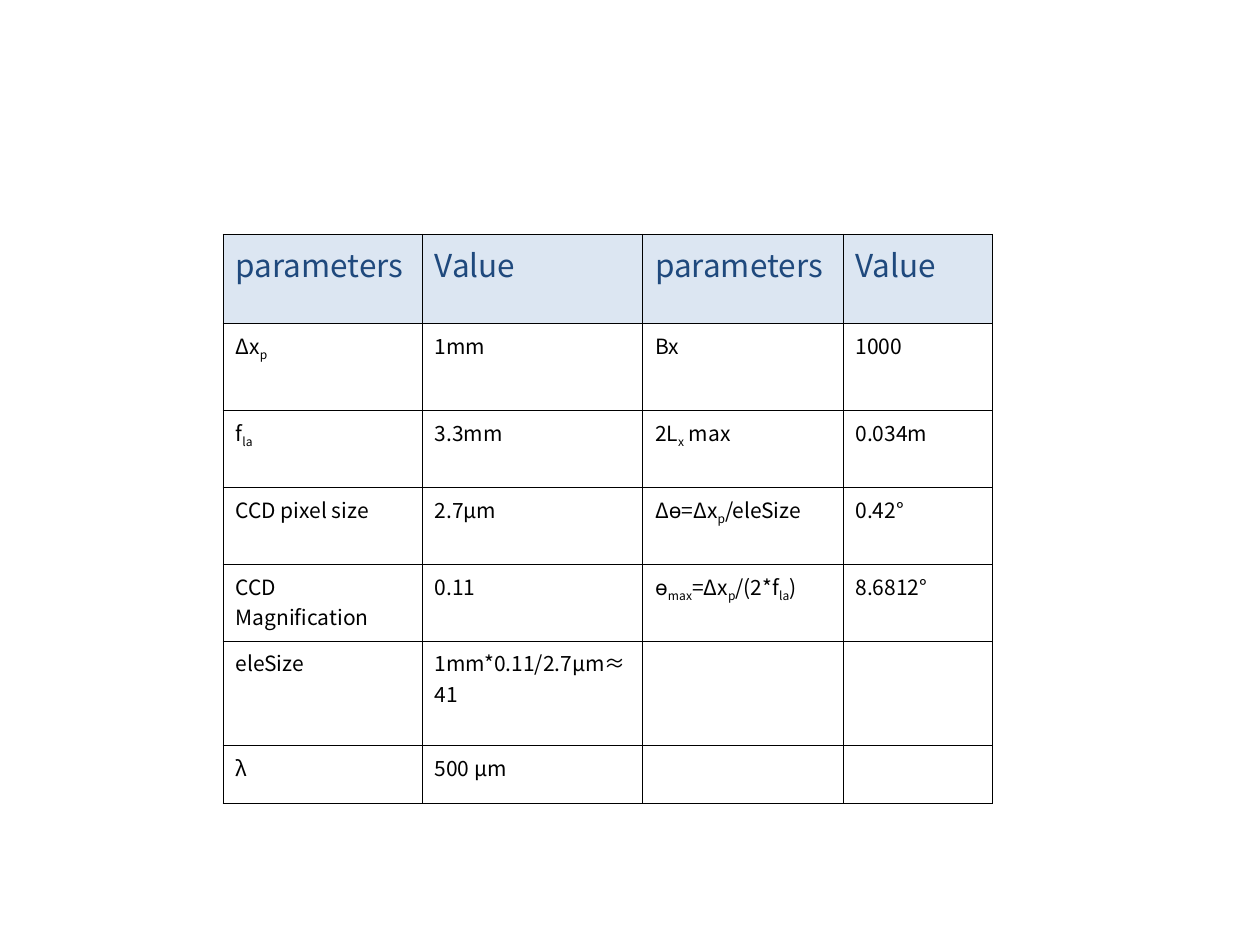
import pptx
import pptx.util
import pptx.dml.color
import pptx.oxml
import pptx.oxml.ns

COLORS = {"header": "DCE6F2", "heading": "1F497D", "body": "FFFFFF", "ink": "000000"}
FONT = "Noto Sans CJK KR"
COLUMN_WIDTHS = [1.58, 1.75, 1.59, 1.19]
ROW_HEIGHTS = [0.71, 0.69, 0.61, 0.61, 0.61, 0.83, 0.46]

# Text between a pair of bars is set as a subscript
ROWS = [
    ["parameters", "Value", "parameters", "Value"],
    ["Δx|p|", "1mm", "Bx", "1000"],
    ["f|la|", "3.3mm", "2L|x| max", "0.034m"],
    ["CCD pixel size", "2.7μm", "Δө=Δx|p|/eleSize", "0.42°"],
    ["CCD Magnification", "0.11", "ө|max|=Δx|p|/(2*f|la|)", "8.6812°"],
    ["eleSize", "1mm*0.11/2.7μm≈41", "", ""],
    ["λ", "500 μm", "", ""],
]


def rgb(name):
    return pptx.dml.color.RGBColor.from_string(COLORS[name])


def write_text(frame, text, *, size, color):
    """Write one paragraph, lowering every second piece as a subscript."""
    para = frame.paragraphs[0]
    para.font.size = pptx.util.Pt(size)
    for index, piece in enumerate(text.split("|")):
        if not piece:
            continue
        span = para.add_run()
        span.text = piece
        span.font.name = FONT
        span.font.size = pptx.util.Pt(size)
        span.font.color.rgb = rgb(color)
        properties = span.font._element
        east_asian = pptx.oxml.parse_xml(
            f'<a:ea {pptx.oxml.ns.nsdecls("a")} typeface="{FONT}"/>')
        properties.find(pptx.oxml.ns.qn("a:latin")).addnext(east_asian)
        if index % 2:
            properties.set("baseline", "-25000")


def draw_borders(cell, *, color, width):
    """Rule all four sides; borders come before the fill in the cell's XML."""
    properties = cell._tc.get_or_add_tcPr()
    for position, side in enumerate(("lnL", "lnR", "lnT", "lnB")):
        line = pptx.oxml.parse_xml(
            f'<a:{side} {pptx.oxml.ns.nsdecls("a")} w="{int(pptx.util.Pt(width))}">'
            f'<a:solidFill><a:srgbClr val="{COLORS[color]}"/></a:solidFill></a:{side}>')
        properties.insert(position, line)


def add_parameter_table(page, left, top, width, height):
    """Fill the given box with the table of optical parameters."""
    box = page.shapes.add_table(len(ROWS), len(COLUMN_WIDTHS), left, top, width, height)
    table = box.table

    # Share the box out among columns and rows
    for column, share in zip(table.columns, COLUMN_WIDTHS):
        column.width = int(width * share / sum(COLUMN_WIDTHS))
    for row, share in zip(table.rows, ROW_HEIGHTS):
        row.height = int(height * share / sum(ROW_HEIGHTS))

    # Cells
    for row_index, texts in enumerate(ROWS):
        is_header = row_index == 0
        for column_index, text in enumerate(texts):
            cell = table.cell(row_index, column_index)
            cell.fill.solid()
            cell.fill.fore_color.rgb = rgb("header" if is_header else "body")
            draw_borders(cell, color="ink", width=0.45)
            write_text(cell.text_frame, text, size=18 if is_header else 12,
                       color="heading" if is_header else "ink")


def main():
    deck = pptx.Presentation()
    deck.slide_width = pptx.util.Inches(10)
    deck.slide_height = pptx.util.Inches(7.5)
    page = deck.slides.add_slide(deck.slide_layouts[6])
    add_parameter_table(page, pptx.util.Inches(1.77), pptx.util.Inches(1.86),
                        pptx.util.Inches(sum(COLUMN_WIDTHS)),
                        pptx.util.Inches(sum(ROW_HEIGHTS)))
    deck.save("out.pptx")


if __name__ == "__main__":
    main()
